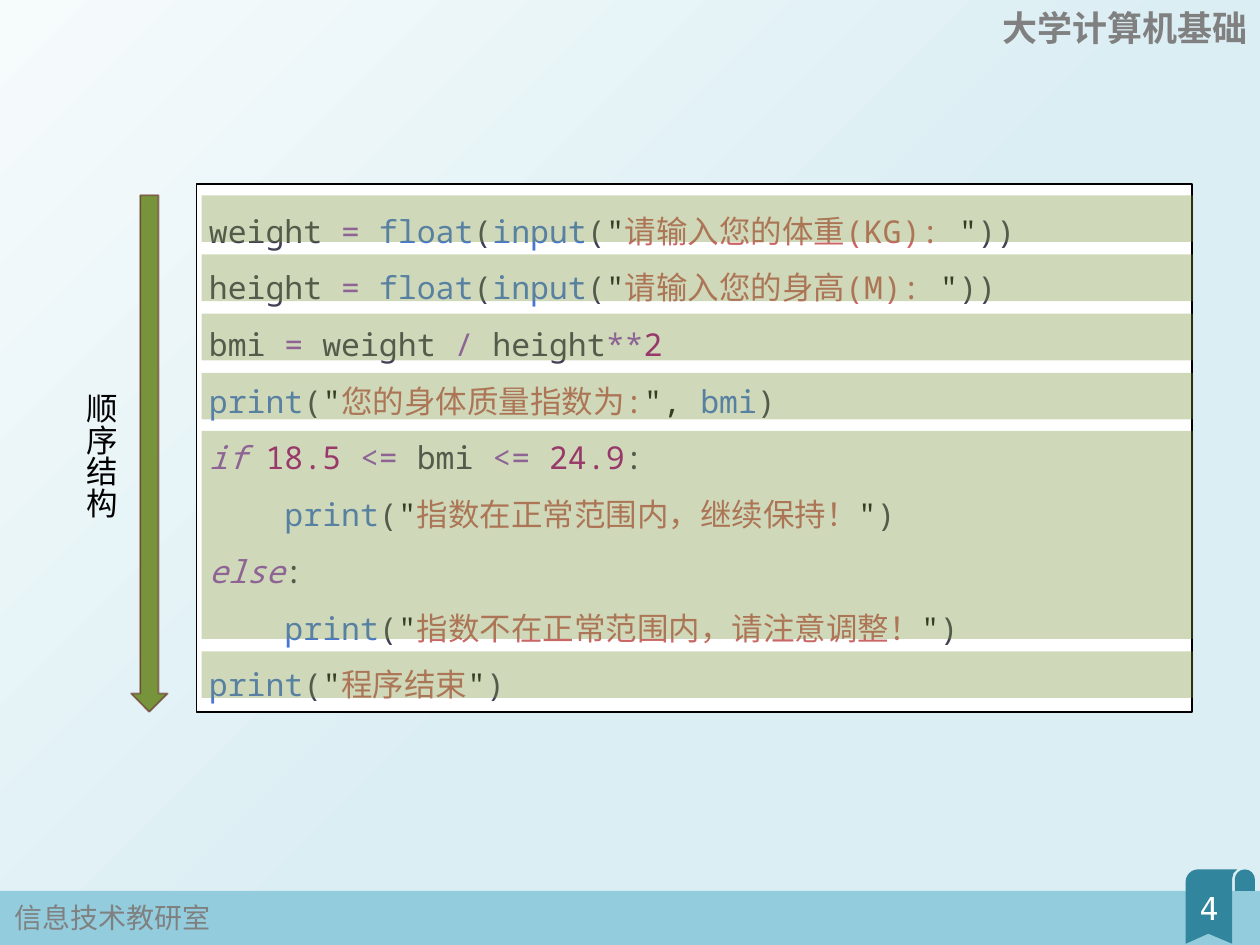
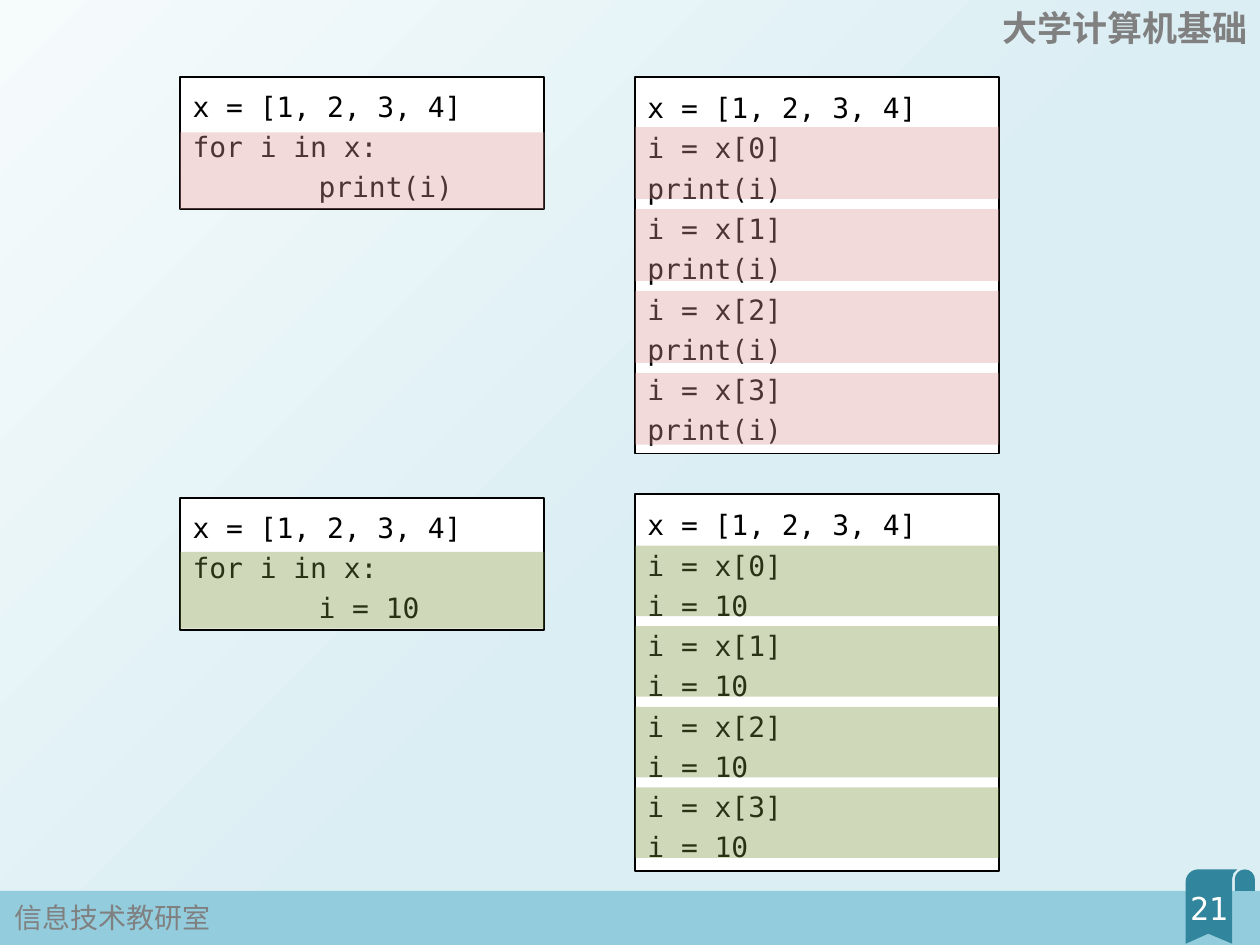
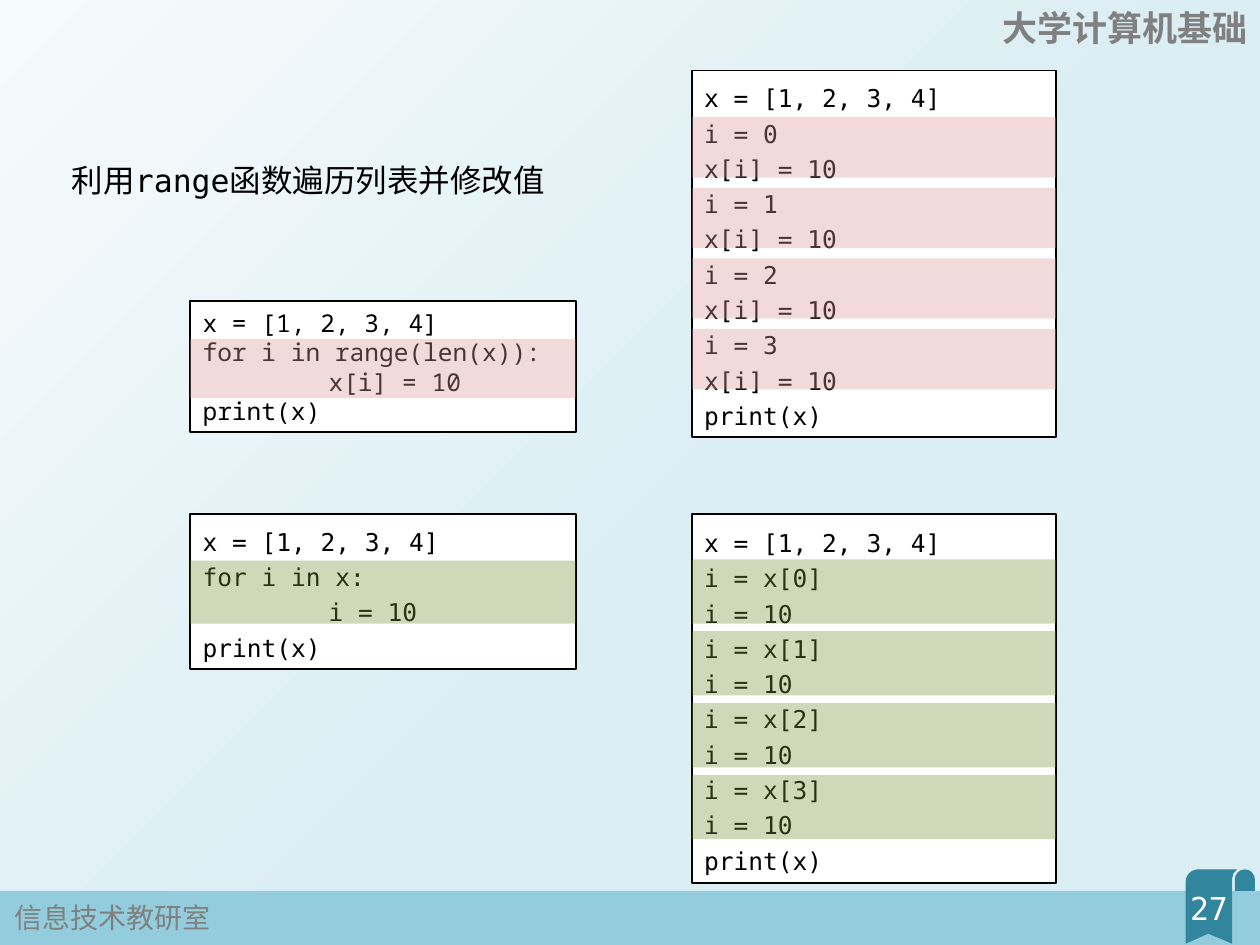
from math import cos, radians, sin

from lxml.etree import SubElement
from pptx import Presentation
from pptx.dml.color import RGBColor
from pptx.enum.shapes import MSO_SHAPE as Preset
from pptx.enum.text import MSO_ANCHOR as Anchor
from pptx.enum.text import MSO_AUTO_SIZE as AutoSize
from pptx.enum.text import PP_ALIGN as Align
from pptx.oxml.ns import qn
from pptx.util import Inches, Pt

COLORS = {
    "sky_light": "F6FBFC", "sky": "DBEEF4", "footer": "93CDDD", "ribbon": "31859C",
    "gray": "808080", "white": "FFFFFF", "black": "000000",
    "green": "77933C", "red": "D99694", "brown": "632523",
    # syntax colours
    "name": "403F53", "operator": "994CC3", "keyword": "994CC3", "call": "4876D6",
    "quote": "111111", "string": "C96765", "number": "AA0982",
}
SANS = "Noto Sans CJK JP"
MONO = "DejaVu Sans Mono"
NOTO_MONO = "Noto Sans Mono"
LIST_LINE = "x = [1, 2, 3, 4]"


def rgb(key):
    return RGBColor.from_string(COLORS[key])


# ---- Element helpers ----
def style(paragraph, size, face=MONO, color="black", bold=None, spacing=None):
    font = paragraph.font
    font.size, font.name, font.bold = Pt(size), face, bold
    font.color.rgb = rgb(color)
    SubElement(font._element, qn("a:ea"), typeface=SANS)
    if spacing:
        paragraph.line_spacing = spacing


def set_alpha(parent, percent):
    color = parent.find(qn("a:solidFill")).find(qn("a:srgbClr"))
    SubElement(color, qn("a:alpha"), val=str(percent * 1000))


def paint(shape, fill, line=None):
    shape.shadow.inherit = False
    shape.fill.solid()
    shape.fill.fore_color.rgb = rgb(fill)
    if line:
        shape.line.color.rgb = rgb(line)
        shape.line.width = Pt(1)
    else:
        shape.line.fill.background()


def add_block(slide, preset, box, fill, line=None):
    block = slide.shapes.add_shape(preset, *map(Inches, box))
    paint(block, fill, line)
    return block


def add_label(slide, box, text, size, face=MONO, color="black", bold=None,
              align=None, wrap=True):
    label = slide.shapes.add_textbox(*map(Inches, box))
    frame = label.text_frame
    frame.word_wrap = wrap
    paragraph = frame.paragraphs[0]
    paragraph.text = text
    paragraph.alignment = align
    style(paragraph, size, face, color, bold)
    return label


def add_code(slide, box, lines, size, face=MONO, spacing=1.2, indent=1):
    """Each line is a string or (kind, text) tokens; a leading tab indents it."""
    code = add_block(slide, Preset.RECTANGLE, box, "white", "black")
    frame = code.text_frame
    frame.word_wrap = True
    frame.auto_size = AutoSize.SHAPE_TO_FIT_TEXT
    for number, line in enumerate(lines):
        paragraph = frame.add_paragraph() if number else frame.paragraphs[0]
        paragraph.alignment = Align.LEFT
        style(paragraph, size, face, spacing=spacing)
        tokens = [("black", line)] if isinstance(line, str) else line
        if tokens[0][1].startswith("\t"):
            paragraph._p.get_or_add_pPr().set("marL", str(Inches(indent)))
        for kind, text in tokens:
            run = paragraph.add_run()
            run.text = text.lstrip("\t")
            run.font.color.rgb = rgb(kind)
            if kind == "keyword":
                run.font.italic = True


def add_bands(slide, box, color, count=1, step=0.0):
    """Translucent highlights over code lines, at equal steps downwards."""
    left, top, width, height = box
    for row in range(count):
        band = add_block(slide, Preset.RECTANGLE,
                         (left, top + row * step, width, height), color)
        set_alpha(band.element.spPr, 35)


# ---- Shared frame ----
def arc(center_x, center_y, radius, start, end, steps=8):
    angles = [radians(start + (end - start) * i / steps) for i in range(steps + 1)]
    return [(center_x + radius * cos(a), center_y + radius * sin(a)) for a in angles]


def add_ribbon(slide):
    curl = [(9.8, 7.07), *arc(9.88, 6.98, 0.08, 180, 360), (9.96, 7.07)]
    flag = [(9.41, 7.49), *arc(9.51, 7.0, 0.1, 180, 270), (9.82, 6.9),
            (9.79, 6.93), (9.78, 6.97), (9.78, 7.49), (9.59, 7.41)]
    curl, flag = ([(Inches(x), Inches(y)) for x, y in part] for part in (curl, flag))
    outline = slide.shapes.build_freeform(*curl[0])
    outline.add_line_segments(curl[1:])
    outline.move_to(*flag[0])
    outline.add_line_segments(flag[1:])
    paint(outline.convert_to_shape(), "ribbon")


def build_master(master, slide):
    """Draw the frame on an empty slide, then move it to the master."""
    fill = master.background.fill
    fill.gradient()
    fill.gradient_angle = 315
    for stop, color, position in zip(fill.gradient_stops, ("sky_light", "sky"), (0, 0.56)):
        stop.color.rgb = rgb(color)
        stop.position = position

    add_block(slide, Preset.RECTANGLE, (0, 7.07, 10, 0.43), "footer")
    add_ribbon(slide)
    add_label(slide, (0.02, 7.1, 1.77, 0.37), "信息技术教研室", 16, SANS, "gray", wrap=False)
    add_label(slide, (7.83, 0, 2.17, 0.44), "大学计算机基础", 20, SANS, "gray",
              bold=True, align=Align.RIGHT)
    for shape_id, shape in enumerate(list(slide.shapes), start=101):
        shape.element.nvSpPr.cNvPr.set("id", str(shape_id))
        master.shapes.element.append(shape.element)


def add_number(slide, number):
    add_label(slide, (9.24, 7.01, 0.71, 0.4), str(number), 18, color="white",
              align=Align.CENTER)


# ---- Code content ----
def quoted(text):
    return [("quote", '"'), ("string", text), ("quote", '"')]


def input_line(variable, question):
    return [("name", variable + " "), ("operator", "= "), ("call", "float"), ("name", "("),
            ("call", "input"), ("name", "("), *quoted(question), ("name", "))")]


def print_line(message, *more, indent=""):
    return [("call", indent + "print"), ("name", "("), *quoted(message), *more, ("name", ")")]


def unrolled(assignment, body):
    """The lines that a loop over four items runs through."""
    return [line for i in range(4) for line in (assignment.format(i), body)]


# ---- Slides ----
def build_sequence(slide):
    add_number(slide, 4)
    add_code(slide, (1.56, 1.46, 7.9, 4.19), [
        input_line("weight", "请输入您的体重(KG): "),
        input_line("height", "请输入您的身高(M): "),
        [("name", "bmi "), ("operator", "="), ("name", " weight "), ("operator", "/"),
         ("name", " height"), ("operator", "**"), ("number", "2")],
        print_line("您的身体质量指数为:", ("quote", ", "), ("call", "bmi")),
        [("keyword", "if "), ("number", "18.5 "), ("operator", "<= "), ("name", "bmi "),
         ("operator", "<= "), ("number", "24.9"), ("name", ":")],
        print_line("指数在正常范围内，继续保持！", indent="\t"),
        [("keyword", "else"), ("name", ":")],
        print_line("指数不在正常范围内，请注意调整！", indent="\t"),
        print_line("程序结束"),
    ], 18, NOTO_MONO, spacing=1.5, indent=0.6)

    caption = add_label(slide, (0.5, 3.02, 0.5, 1.11), "顺序结构", 18, wrap=False)
    caption.text_frame._txBody.bodyPr.set("vert", "eaVert")

    add_bands(slide, (1.6, 1.55, 7.87, 0.37), "green", 4, 0.47)
    add_bands(slide, (1.6, 3.42, 7.87, 1.65), "green")
    add_bands(slide, (1.6, 5.17, 7.87, 0.37), "green")

    flow = add_block(slide, Preset.DOWN_ARROW, (1.04, 1.55, 0.29, 4.1), "green", "brown")
    set_alpha(flow.element.spPr.find(qn("a:ln")), 59)


def build_iteration(slide):
    add_number(slide, 21)
    loop_x, steps_x, width = 1.43, 5.04, 2.89
    # body, colour, loop top, loop band top, steps top, first step, step height, pitch
    examples = [
        ("print(i)", "red", 0.61, 1.05, 0.61, 1.01, 0.57, 0.65),
        ("i = 10", "green", 3.95, 4.38, 3.92, 4.33, 0.56, 0.64),
    ]
    for body, color, loop_y, band_y, steps_y, first_y, height, pitch in examples:
        add_code(slide, (loop_x, loop_y, width, 1.05),
                 [LIST_LINE, "for i in x:", "\t" + body], 16)
        add_code(slide, (steps_x, steps_y, width, 2.99),
                 [LIST_LINE, *unrolled("i = x[{}]", body)], 16)
        add_bands(slide, (loop_x, band_y, width, 0.61), color)
        add_bands(slide, (steps_x, first_y, width, height), color, 4, pitch)


def build_range(slide):
    add_number(slide, 27)
    title = slide.shapes.title
    title.left, title.top, title.width, title.height = map(Inches, (0.47, 1.17, 4.19, 0.4))
    frame = title.text_frame
    frame.text = "利用range函数遍历列表并修改值"
    frame.word_wrap = True
    frame.auto_size = AutoSize.NONE
    frame.vertical_anchor = Anchor.TOP
    heading = frame.paragraphs[0]
    heading.alignment = Align.LEFT
    heading.space_before = Pt(10)
    style(heading, 18, spacing=1.2)

    loop_x, loop_w, steps_x, steps_w = 1.51, 3.06, 5.49, 2.89
    # Loop over indices
    add_code(slide, (loop_x, 2.39, loop_w, 1.04),
             [LIST_LINE, "for i in range(len(x)):", "\tx[i] = 10", "print(x)"],
             14, NOTO_MONO, spacing=None)
    add_code(slide, (steps_x, 0.56, steps_w, 2.91),
             [LIST_LINE, *unrolled("i = {}", "x[i] = 10"), "print(x)"], 14)
    add_bands(slide, (loop_x, 2.69, loop_w, 0.47), "red")
    add_bands(slide, (steps_x, 0.93, steps_w, 0.48), "red", 4, 0.56)
    # Loop over items
    add_code(slide, (loop_x, 4.08, loop_w, 1.23),
             [LIST_LINE, "for i in x:", "\ti = 10", "print(x)"], 14)
    add_code(slide, (steps_x, 4.08, steps_w, 2.93),
             [LIST_LINE, *unrolled("i = x[{}]", "i = 10"), "print(x)"], 14)
    add_bands(slide, (loop_x, 4.45, loop_w, 0.5), "green")
    add_bands(slide, (steps_x, 4.44, steps_w, 0.51), "green", 4, 0.57)


def main():
    prs = Presentation()
    prs.slide_width, prs.slide_height = Inches(10), Inches(7.5)
    title_only, blank = prs.slide_layouts[5], prs.slide_layouts[6]
    sequence = prs.slides.add_slide(blank)
    build_master(prs.slide_master, sequence)
    build_sequence(sequence)
    build_iteration(prs.slides.add_slide(blank))
    build_range(prs.slides.add_slide(title_only))
    prs.save("out.pptx")


main()
